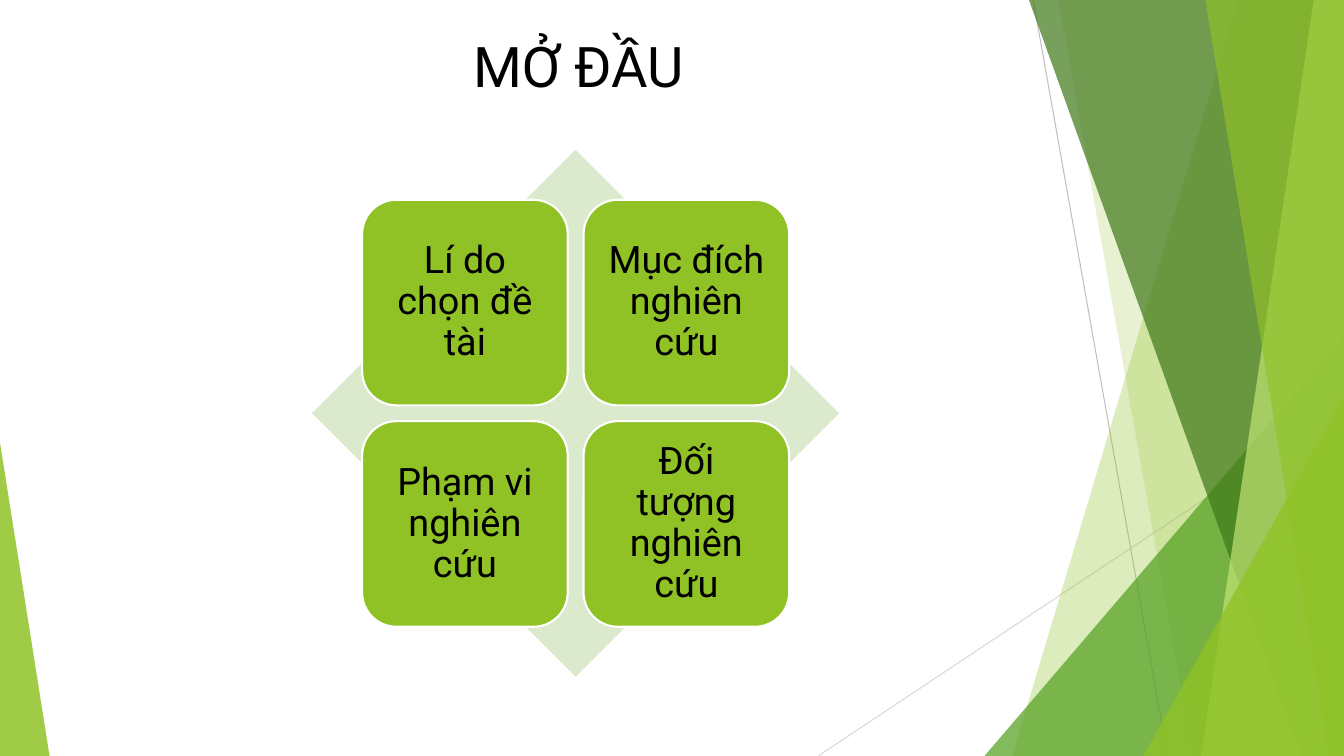
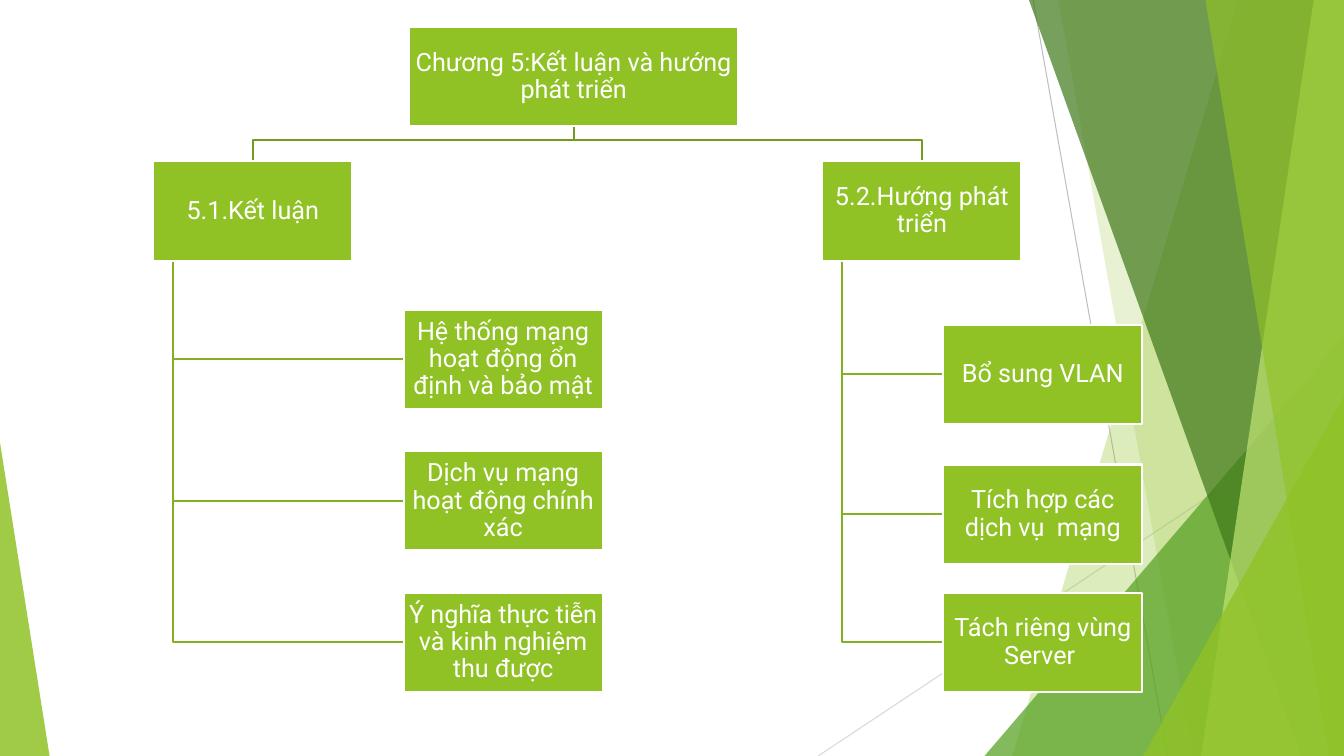
from itertools import product

from lxml import etree
from pptx import Presentation
from pptx import util as u
from pptx.dml.color import RGBColor
from pptx.enum import shapes, text
from pptx.oxml import ns

COLUMNS, ROWS = 160, 90
CELL = u.Inches(7.5) / ROWS

FONT = "Roboto"
BLACK = RGBColor(0x00, 0x00, 0x00)
WHITE = RGBColor(0xFF, 0xFF, 0xFF)
LIME = RGBColor(0x90, 0xC2, 0x26)
GREEN = RGBColor(0x54, 0xA0, 0x21)
FOREST = RGBColor(0x3F, 0x78, 0x19)
PALE_LIME = RGBColor(0xC0, 0xE4, 0x74)
MIST = RGBColor(0xDB, 0xE9, 0xCD)
BUS_GREEN = RGBColor(0x73, 0x9B, 0x1E)
BRANCH_GREEN = RGBColor(0x83, 0xB0, 0x22)
GREY = RGBColor(0xBF, 0xBF, 0xBF)
LIGHT_GREY = RGBColor(0xD9, 0xD9, 0xD9)

TITLE_BOX = (55.2, 3.2, 55.2, 9.2)
TOPICS_BOX = (37.15, 17.82, 62.76)
TREE_ORIGIN = (18.25, 3.2)

TOPICS = ["Lí do chọn đề tài", "Mục đích nghiên cứu",
          "Phạm vi nghiên cứu", "Đối tượng nghiên cứu"]
CHAPTER = "Chương 5:Kết luận và hướng phát triển"
SECTIONS = [
    ("5.1.Kết luận", 0, 29.8, [
        (33.65, "Hệ thống mạng hoạt động ổn định và bảo mật"),
        (50.5, "Dịch vụ mạng hoạt động chính xác"),
        (67.35, "Ý nghĩa thực tiễn và kinh nghiệm thu được")]),
    ("5.2.Hướng phát triển", 79.65, 94.05, [
        (35.45, "Bổ sung VLAN"),
        (52.1, "Tích hợp các dịch vụ  mạng"),
        (67.35, "Tách riêng vùng Server ")]),
]


def cells(*counts):
    return [u.Emu(round(count * CELL)) for count in counts]


def paint(shape, colour, opacity=100, outline=None):
    shape.shadow.inherit = False
    shape.fill.solid()
    shape.fill.fore_color.rgb = colour
    if opacity < 100:
        tint = shape.fill._xPr.find(".//" + ns.qn("a:srgbClr"))
        etree.SubElement(tint, ns.qn("a:alpha")).set("val", str(opacity * 1000))
    if outline is None:
        shape.line.fill.background()
    else:
        shape.line.color.rgb = outline
        shape.line.width = u.Pt(1.5)


def draw_hairline(slide, start, end, colour):
    hairline = slide.shapes.add_connector(
        shapes.MSO_CONNECTOR.STRAIGHT, *cells(*start, *end))
    hairline.line.color.rgb = colour
    hairline.line.width = u.Pt(0.75)
    etree.SubElement(hairline._element.spPr, ns.qn("a:effectLst"))


def trace(slide, points, close):
    start, *corners = [cells(*point) for point in points]
    builder = slide.shapes.build_freeform(*start, scale=1.0)
    builder.add_line_segments(corners, close=close)
    return builder.convert_to_shape()


def draw_elbow(slide, points, colour):
    elbow = trace(slide, points, close=False)
    elbow.shadow.inherit = False
    elbow.fill.background()
    elbow.line.color.rgb = colour
    elbow.line.width = u.Pt(1.5)


def write(frame, words, size, colour, align=text.PP_ALIGN.LEFT):
    frame.word_wrap = True
    paragraph = frame.paragraphs[0]
    paragraph.alignment = align
    run = paragraph.add_run()
    run.text = words
    run.font.name = FONT
    run.font.size = u.Pt(size)
    run.font.color.rgb = colour
    return paragraph


def add_label_box(slide, kind, box, words, size, colour, inset):
    label = slide.shapes.add_shape(kind, *cells(*box))
    paint(label, LIME, outline=WHITE)
    frame = label.text_frame
    frame.margin_left = frame.margin_right = u.Inches(inset)
    frame.margin_top = frame.margin_bottom = u.Inches(inset)
    frame.vertical_anchor = text.MSO_ANCHOR.MIDDLE
    write(frame, words, size, colour, text.PP_ALIGN.CENTER).line_spacing = 0.9


def add_band(slide, top_x, bottom_x, colour, opacity):
    band = trace(slide, [(top_x, 0), (COLUMNS, 0), (COLUMNS, ROWS),
                         (bottom_x, ROWS)], close=True)
    paint(band, colour, opacity)


def add_wedge(slide, left, top, width, peak, colour, opacity):
    wedge = slide.shapes.add_shape(
        shapes.MSO_SHAPE.ISOSCELES_TRIANGLE, *cells(left, top, width, ROWS - top))
    wedge.adjustments[0] = peak
    paint(wedge, colour, opacity)


def add_backdrop(slide):
    draw_hairline(slide, (123, 0), (139, ROWS), GREY)
    draw_hairline(slide, (COLUMNS, 48.4), (97.4, ROWS), LIGHT_GREY)
    add_band(slide, 147.4, 120.5, LIME, 30)
    add_band(slide, 126, 142, LIME, 20)
    add_wedge(slide, 117.2, 40, 42.8, 1, GREEN, 72)
    add_band(slide, 122.5, 154.9, FOREST, 70)
    add_band(slide, 156.4, 143, PALE_LIME, 70)
    add_band(slide, 143.5, 158.2, LIME, 65)
    add_wedge(slide, 136.1, 47.2, 23.9, 1, LIME, 80)
    add_wedge(slide, 0, 52.7, 5.9, 0, LIME, 85)


def add_title(slide, box, words):
    title = slide.shapes.add_textbox(*cells(*box))
    write(title.text_frame, words, 40, BLACK)


def add_topic_matrix(slide, box, topics):
    left, top, side = box
    diamond = slide.shapes.add_shape(
        shapes.MSO_SHAPE.DIAMOND, *cells(left, top, side, side))
    paint(diamond, MIST)
    margin, pitch, tile = 0.095 * side, 0.42 * side, 0.39 * side
    for (row, column), topic in zip(product(range(2), repeat=2), topics):
        add_label_box(
            slide, shapes.MSO_SHAPE.ROUNDED_RECTANGLE,
            (left + margin + column * pitch, top + margin + row * pitch, tile, tile),
            topic, 27, BLACK, 0.11)


def add_chapter_tree(slide, origin, chapter, sections):
    left, top = origin
    root_width, node_width, node_height = 39.2, 23.7, 11.85
    root_x, section_y, bus_y = left + 30.45, top + 16, top + 13.5
    root_middle, trunk_inset = root_x + root_width / 2, 2.37
    nodes = [(root_x, top, root_width, chapter)]

    for heading, section_x, leaf_x, leaves in sections:
        x = left + section_x
        middle, trunk_x = x + node_width / 2, x + trunk_inset
        nodes.append((x, section_y, node_width, heading))
        draw_elbow(slide, [(root_middle, top + node_height), (root_middle, bus_y),
                           (middle, bus_y), (middle, section_y)], BUS_GREEN)
        for leaf_y, words in leaves:
            branch_y = top + leaf_y + node_height / 2
            nodes.append((left + leaf_x, top + leaf_y, node_width, words))
            draw_elbow(slide, [(trunk_x, section_y + node_height),
                               (trunk_x, branch_y),
                               (left + leaf_x, branch_y)], BRANCH_GREEN)

    for x, y, width, words in nodes:
        add_label_box(slide, shapes.MSO_SHAPE.RECTANGLE,
                      (x, y, width, node_height), words, 18, WHITE, 0.02)


def add_slide(deck):
    slide = deck.slides.add_slide(deck.slide_layouts[6])
    add_backdrop(slide)
    return slide


def main():
    deck = Presentation()
    deck.slide_width, deck.slide_height = cells(COLUMNS, ROWS)

    opening = add_slide(deck)
    add_topic_matrix(opening, TOPICS_BOX, TOPICS)
    add_title(opening, TITLE_BOX, "MỞ ĐẦU")

    conclusion = add_slide(deck)
    add_chapter_tree(conclusion, TREE_ORIGIN, CHAPTER, SECTIONS)

    deck.save("out.pptx")


if __name__ == "__main__":
    main()
